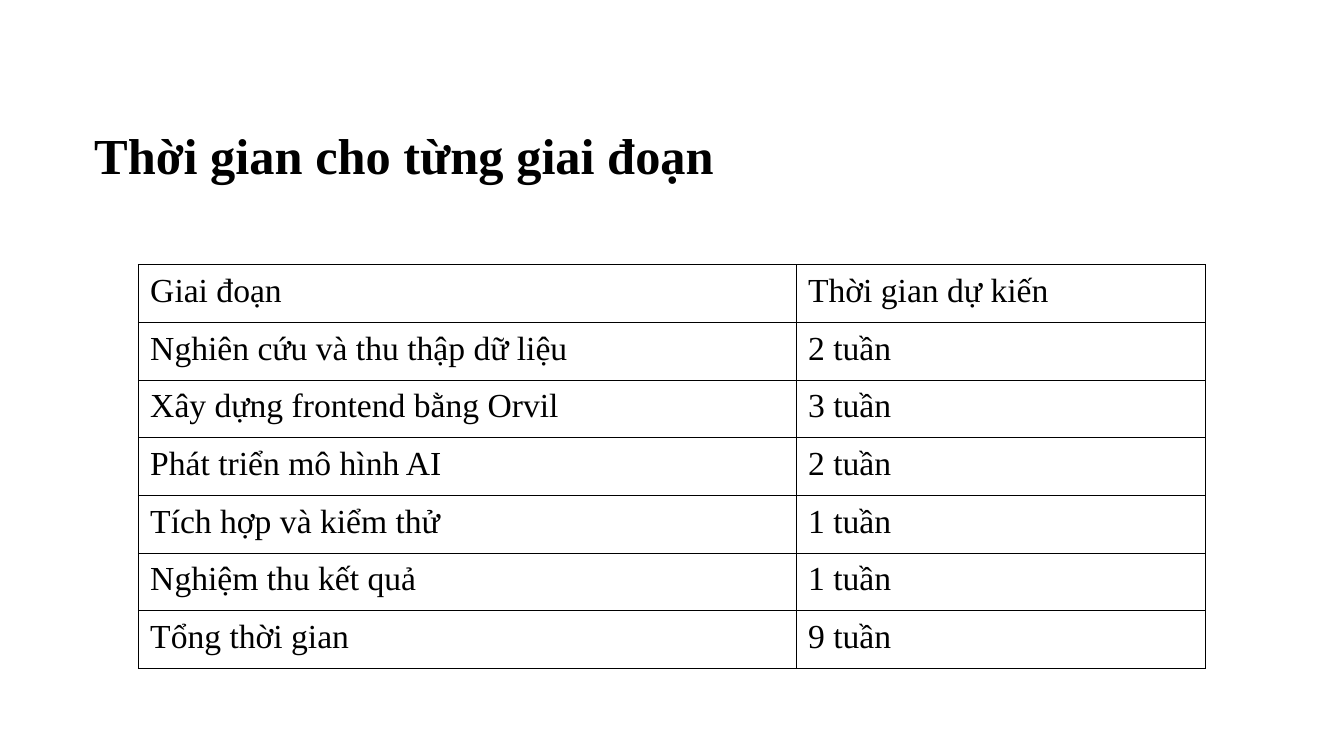
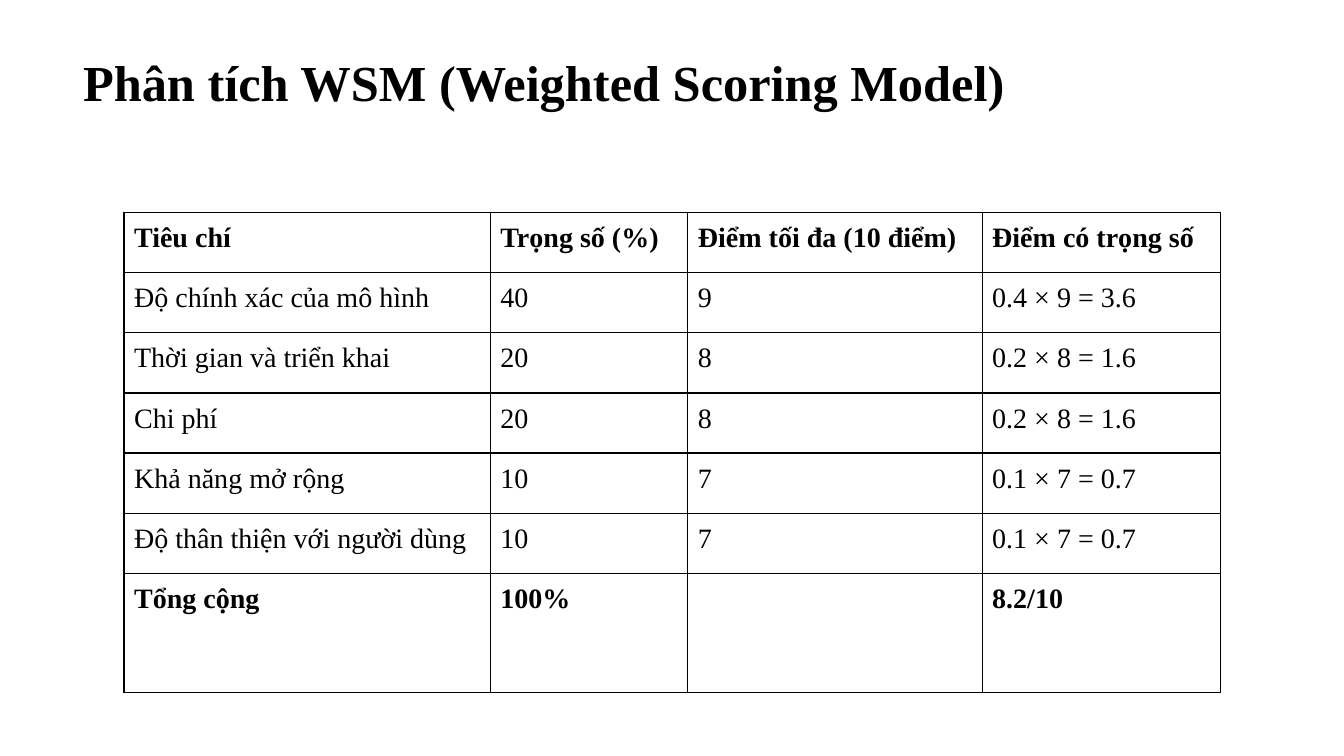
from lxml.etree import SubElement
from pptx import Presentation
from pptx.dml.color import RGBColor
from pptx.enum.text import MSO_ANCHOR, PP_ALIGN
from pptx.oxml.ns import qn
from pptx.util import Inches, Pt

# Shared look
COLORS = {"ink": "000000", "paper": "FFFFFF"}
FONT = "Times New Roman"
TITLE_SIZE = 36

deck = Presentation()
deck.slide_width, deck.slide_height = Inches(13.33), Inches(7.5)

# Grid of 100 columns by 100 rows
COLUMN = deck.slide_width / 100
ROW = deck.slide_height / 100

# Content: places and sizes in grid columns and rows
SLIDES = [
    {
        "title": "Thời gian cho từng giai đoạn",
        "title_box": (6.27, 16.6, 79.9, 16.13),
        "title_inset": 0.73,
        "corner": (10.28, 35),
        "widths": [48.95, 30.45],
        "heights": [7.63] * 7,
        "cell_inset": (0.9, 1.07),
        "size": 24,
        "border": 0.5,
        "bold_rows": [],
        "rows": [
            ["Giai đoạn", "Thời gian dự kiến"],
            ["Nghiên cứu và thu thập dữ liệu", "2 tuần"],
            ["Xây dựng frontend bằng Orvil", "3 tuần"],
            ["Phát triển mô hình AI", "2 tuần"],
            ["Tích hợp và kiểm thử", "1 tuần"],
            ["Nghiệm thu kết quả", "1 tuần"],
            ["Tổng thời gian", "9 tuần"],
        ],
    },
    {
        "title": "Phân tích WSM (Weighted Scoring Model)",
        "title_box": (5.44, 3.73, 93.55, 20.13),
        "title_inset": 4,
        "corner": (9.23, 28.1),
        "widths": [27.25, 14.7, 21.9, 17.75],
        "heights": [7.96] * 6 + [15.75],
        "cell_inset": (0.75, 1.33),
        "size": 20,
        "border": 1,
        "bold_rows": [0, 6],
        "rows": [
            ["Tiêu chí", "Trọng số (%)", "Điểm tối đa (10 điểm)", "Điểm có trọng số"],
            ["Độ chính xác của mô hình", "40", "9", "0.4 × 9 = 3.6"],
            ["Thời gian và triển khai", "20", "8", "0.2 × 8 = 1.6"],
            ["Chi phí", "20", "8", "0.2 × 8 = 1.6"],
            ["Khả năng mở rộng", "10", "7", "0.1 × 7 = 0.7"],
            ["Độ thân thiện với người dùng", "10", "7", "0.1 × 7 = 0.7"],
            ["Tổng cộng", "100%", "", "8.2/10"],
        ],
    },
]


def write_text(para, text, size, bold):
    para.text = text
    for span in para.runs:
        span.font.name = FONT
        span.font.size = Pt(size)
        span.font.bold = bold
        span.font.color.rgb = RGBColor.from_string(COLORS["ink"])


def add_borders(cell, points):
    properties = cell._tc.get_or_add_tcPr()
    for position, side in enumerate(("lnL", "lnR", "lnT", "lnB")):
        line = SubElement(properties, qn(f"a:{side}"), w=str(Pt(points)))
        fill = SubElement(line, qn("a:solidFill"))
        SubElement(fill, qn("a:srgbClr"), val=COLORS["ink"])
        properties.insert(position, line)  # borders come before the fill


for content in SLIDES:
    page = deck.slides.add_slide(deck.slide_layouts[6])

    # Title
    left, top, width, height = content["title_box"]
    box = page.shapes.add_textbox(
        round(left * COLUMN), round(top * ROW), round(width * COLUMN), round(height * ROW)
    )
    frame = box.text_frame
    frame.word_wrap = True
    frame.vertical_anchor = MSO_ANCHOR.TOP
    frame.margin_top = round(content["title_inset"] * ROW)
    para = frame.paragraphs[0]
    para.line_spacing = 0.9
    write_text(para, content["title"], TITLE_SIZE, True)

    # Table grid
    rows, widths, heights = content["rows"], content["widths"], content["heights"]
    left, top = content["corner"]
    table = page.shapes.add_table(
        len(rows), len(widths), round(left * COLUMN), round(top * ROW),
        round(sum(widths) * COLUMN), round(sum(heights) * ROW),
    ).table
    table.first_row = table.horz_banding = False
    for column, width in zip(table.columns, widths):
        column.width = round(width * COLUMN)
    for row, height in zip(table.rows, heights):
        row.height = round(height * ROW)

    # Table cells
    side_inset, end_inset = content["cell_inset"]
    for row_index, texts in enumerate(rows):
        for column_index, text in enumerate(texts):
            cell = table.cell(row_index, column_index)
            cell.margin_left = cell.margin_right = round(side_inset * COLUMN)
            cell.margin_top = cell.margin_bottom = round(end_inset * ROW)
            cell.fill.solid()
            cell.fill.fore_color.rgb = RGBColor.from_string(COLORS["paper"])
            add_borders(cell, content["border"])
            para = cell.text_frame.paragraphs[0]
            para.alignment = PP_ALIGN.JUSTIFY
            if text:
                write_text(para, text, content["size"], row_index in content["bold_rows"])

deck.save("out.pptx")
